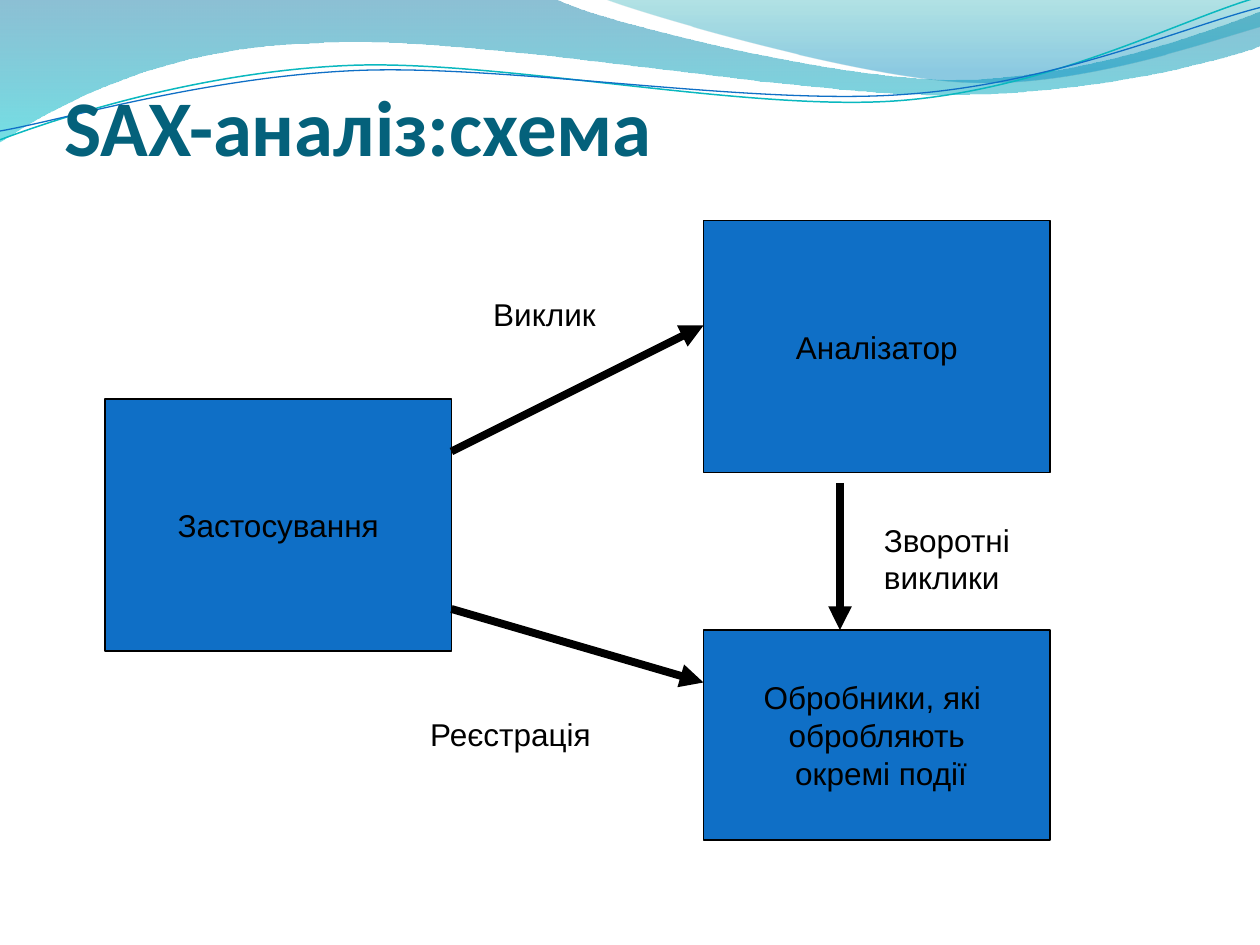
from lxml import etree
from pptx import Presentation
from pptx import util as u
from pptx.dml.color import RGBColor
from pptx.enum import shapes, text
from pptx.oxml.ns import qn

COLORS = {"box": "0F6FC6", "ink": "000000", "title": "04617B"}
TITLE = "SAX-аналіз:схема"

# Diagram on a grid of 120 columns by 90 rows: left, top, width, height
BOXES = [
    (["Застосування"], (10, 38, 33, 24)),
    (["Аналізатор"], (67, 21, 33, 24)),
    (["Обробники, які ", "обробляють", " окремі події"], (67, 60, 33, 20)),
]
LABELS = [  # lines, place, wraps
    (["Виклик"], (45.8, 27.5, 12.5, 4.8), False),
    (["Реєстрація"], (39.8, 67.5, 17.8, 4.8), False),
    (["Зворотні", "виклики"], (83, 49, 18, 8.4), True),
]
ARROWS = [((43, 43), (67, 31)), ((43, 58), (67, 65)), ((80, 46), (80, 60))]

# Header waves in inches: a pair is a straight step, a six-tuple a Bezier curve
BANDS = [  # start, steps, gradient stops (position, colour, opacity %)
    ((0, 0), [(4.4, -0.01), (4.76, 0.17, 6.64, 0.63, 7.58, 0.63),
              (8.53, 0.63, 9.58, 0.26, 10, 0.09), (10.01, 0.36),
              (9.83, 0.44, 8.7, 0.76, 7.46, 0.75),
              (6.22, 0.75, 3.82, 0.28, 2.57, 0.34),
              (1.29, 0.36, 0.46, 0.83, -0.01, 1.13)],
     [(0, "0074A1", 45), (1, "00C6CF", 55)]),
    ((4.79, -0.01), [(5.09, 0.11, 6.82, 0.62, 7.69, 0.65),
                     (8.56, 0.69, 9.61, 0.32, 10, 0.21), (10, 0)],
     [(0, "00A1A9", 30), (0.8, "008BBF", 45)]),
]
STRANDS = [  # start, steps, colour, width in points
    ((0, 1.11), [(0.48, 0.93, 1.58, 0.57, 2.77, 0.52),
                 (3.95, 0.47, 5.93, 0.89, 7.13, 0.8),
                 (8.33, 0.71, 9.38, 0.15, 9.98, -0.02)], "0AB8BF", 0.85),
    ((0, 1.04), [(0.47, 0.96, 1.64, 0.61, 2.83, 0.56),
                 (4.03, 0.51, 5.97, 0.84, 7.17, 0.75),
                 (8.36, 0.67, 9.41, 0.21, 10, 0.06)], "0F6FC6", 0.75),
]

deck = Presentation()
deck.slide_width, deck.slide_height = u.Inches(10), u.Inches(7.5)
page = deck.slides.add_slide(deck.slide_layouts[5])
CELL = deck.slide_width / 120


def grid(values):
    return [u.Emu(round(value * CELL)) for value in values]


def set_line(shape, color, points):
    shape.line.color.rgb = RGBColor.from_string(color)
    shape.line.width = u.Pt(points)


def add_outline(start, steps, close):
    """Freeform through all points; each six-tuple then becomes one curve."""
    points = [step[i:i + 2] for step in steps for i in range(0, len(step), 2)]
    builder = page.shapes.build_freeform(*map(u.Inches, start))
    builder.add_line_segments([tuple(map(u.Inches, point)) for point in points],
                              close=close)
    shape = builder.convert_to_shape()
    shape.shadow.inherit = False
    segments = iter(list(shape._element.iter(qn("a:lnTo"))))
    for step in steps:
        parts = [next(segments) for _ in range(len(step) // 2)]
        if len(parts) == 3:
            curve = etree.Element(qn("a:cubicBezTo"))
            parts[0].addprevious(curve)
            for part in parts:
                curve.append(part[0])
                part.getparent().remove(part)
    return shape


def write(shape, lines, font, align, **frame_format):
    frame = shape.text_frame
    for name, value in frame_format.items():
        setattr(frame, name, value)
    frame.text = "\n".join(lines)
    for para in frame.paragraphs:
        para.alignment = align
        for span in para.runs:
            span.font.color.rgb = RGBColor.from_string(font["color"])
            for name in ("name", "size", "bold"):
                setattr(span.font, name, font[name])


BODY = {"name": "Arial", "size": u.Pt(18), "bold": False, "color": COLORS["ink"]}
HEAD = {"name": "Calibri", "size": u.Pt(45), "bold": True, "color": COLORS["title"]}
LEFT, CENTER = text.PP_ALIGN.LEFT, text.PP_ALIGN.CENTER

# Header waves
for start, steps, stops in BANDS:
    band = add_outline(start, steps, True)
    band.line.fill.background()
    band.fill.gradient()
    band.fill.gradient_angle = 270
    for stop, (position, color, opacity) in zip(band.fill.gradient_stops, stops):
        stop.position = position
        stop.color.rgb = RGBColor.from_string(color)
    tints = band._element.spPr.iter(qn("a:srgbClr"))
    for tint, (position, color, opacity) in zip(tints, stops):
        etree.SubElement(tint, qn("a:alpha"), val=str(opacity * 1000))
for start, steps, color, points in STRANDS:
    strand = add_outline(start, steps, False)
    strand.fill.background()
    set_line(strand, color, points)

# Boxes
for lines, place in BOXES:
    box = page.shapes.add_shape(shapes.MSO_SHAPE.RECTANGLE, *grid(place))
    box.shadow.inherit = False
    box.fill.solid()
    box.fill.fore_color.rgb = RGBColor.from_string(COLORS["box"])
    set_line(box, COLORS["ink"], 0.75)
    write(box, lines, BODY, CENTER, word_wrap=False,
          vertical_anchor=text.MSO_ANCHOR.MIDDLE)

# Title, raised in front of the waves
title = page.shapes.title
title.left, title.top, title.width, title.height = map(u.Inches, (0.51, 0.52, 9, 0.85))
write(title, [TITLE], HEAD, LEFT, vertical_anchor=text.MSO_ANCHOR.BOTTOM,
      auto_size=text.MSO_AUTO_SIZE.NONE, margin_left=0, margin_right=0,
      margin_top=u.Inches(0.05), margin_bottom=0)
page.shapes._spTree.append(title._element)

# Arrows
for start, end in ARROWS:
    arrow = page.shapes.add_connector(shapes.MSO_CONNECTOR.STRAIGHT, *grid(start + end))
    set_line(arrow, COLORS["ink"], 4.5)
    etree.SubElement(arrow.line._get_or_add_ln(), qn("a:tailEnd"), type="triangle")
    etree.SubElement(arrow._element.spPr, qn("a:effectLst"))

# Labels
for lines, place, wraps in LABELS:
    label = page.shapes.add_textbox(*grid(place))
    write(label, lines, BODY, LEFT, word_wrap=wraps,
          auto_size=text.MSO_AUTO_SIZE.SHAPE_TO_FIT_TEXT)

deck.save("out.pptx")
